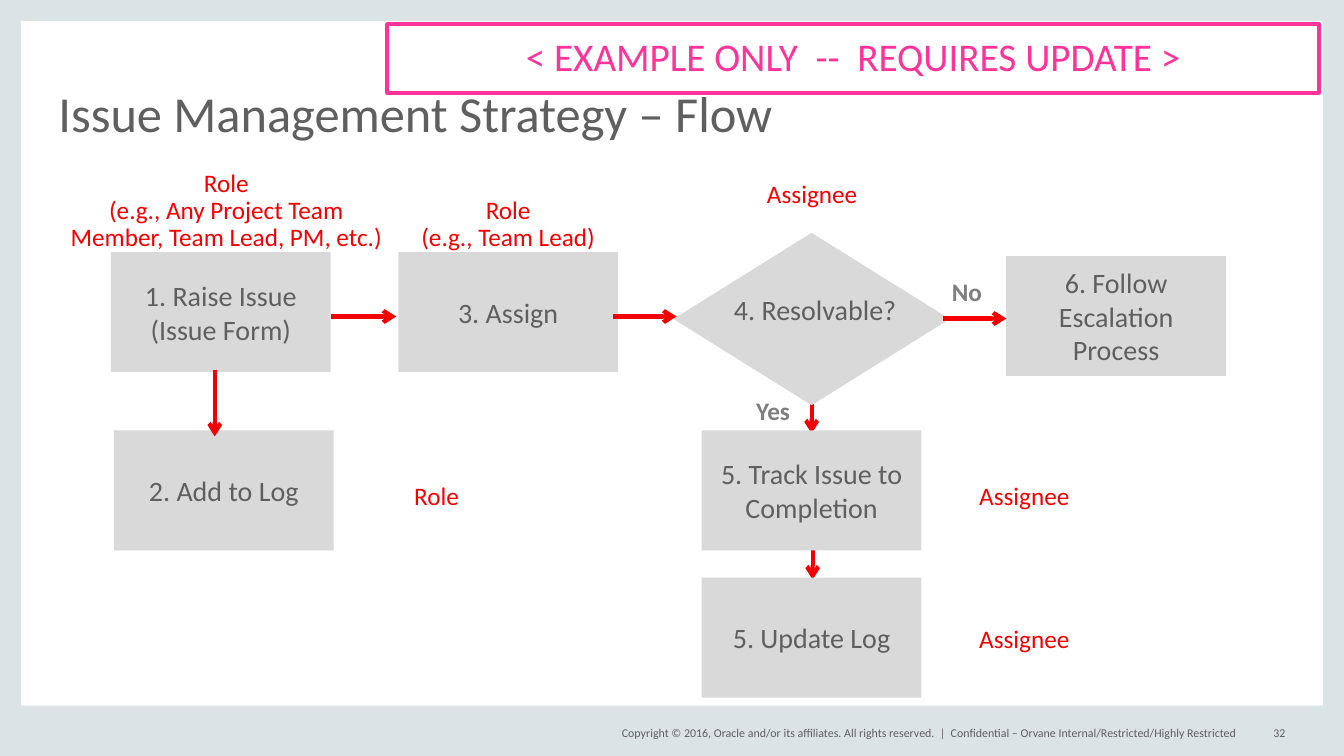
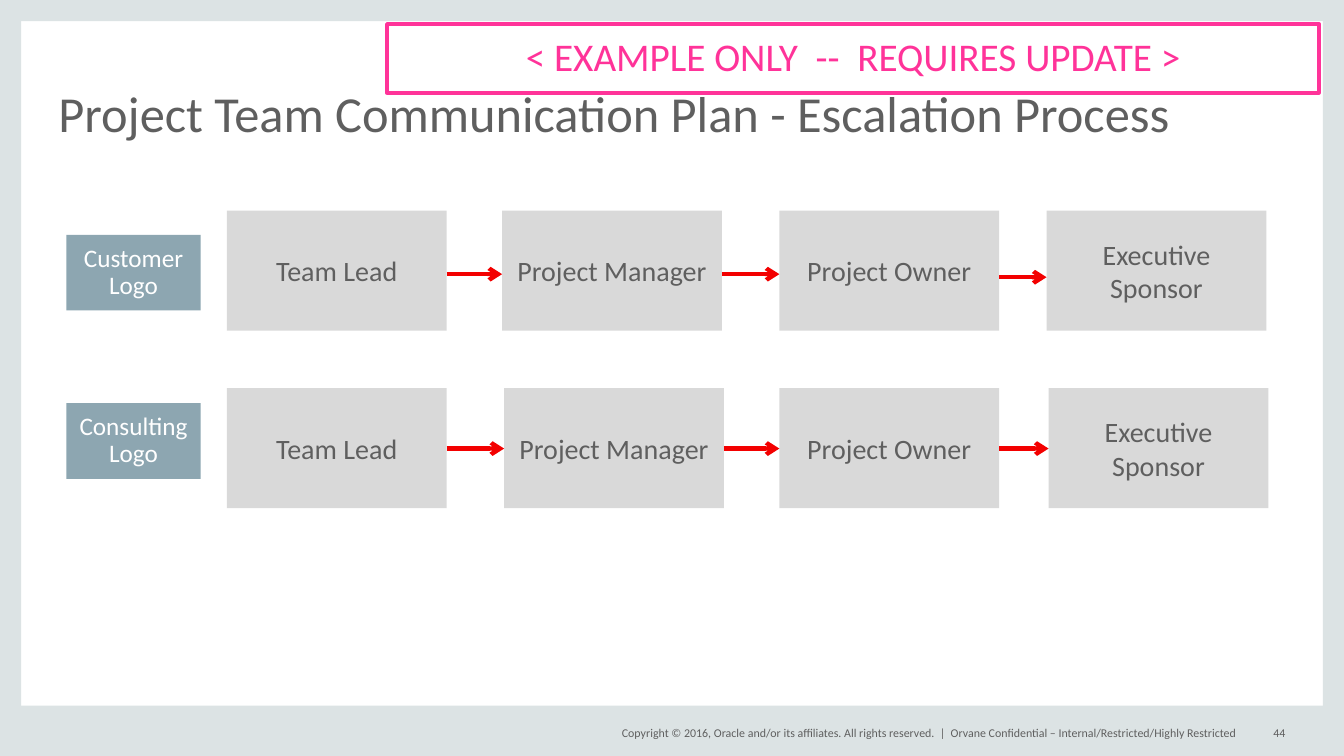
from dataclasses import dataclass
from itertools import pairwise

from lxml import etree
from pptx import Presentation
from pptx import util as u
from pptx.dml import color
from pptx.enum import shapes, text
from pptx.oxml import ns
from pptx.shapes.autoshape import Shape
from pptx.slide import Slide

FONT = "Calibri"
COLORS = {
    "band": "DCE3E4",
    "text": "5F5F5F",
    "banner": "FF3399",
    "arrow": "F30000",
    "role": "F80000",
    "node": "D9D9D9",
    "branch": "7F7F7F",
    "logo": "8DA6B1",
    "white": "FFFFFF",
}
SLIDE_W, SLIDE_H = 13.33, 7.5
EDGE, FOOTER_H = 0.21, 0.5
NODE_W, NODE_H = 2.18, 1.19
RECT = shapes.MSO_SHAPE.RECTANGLE
DIAMOND = shapes.MSO_SHAPE.DIAMOND
LEFT, CENTER, RIGHT = text.PP_ALIGN.LEFT, text.PP_ALIGN.CENTER, text.PP_ALIGN.RIGHT
TOP, MIDDLE, BOTTOM = text.MSO_ANCHOR.TOP, text.MSO_ANCHOR.MIDDLE, text.MSO_ANCHOR.BOTTOM


@dataclass(frozen=True)
class Area:
    left: float
    top: float
    width: float
    height: float

    def lengths(self) -> list[u.Length]:
        return [u.Inches(v) for v in (self.left, self.top, self.width, self.height)]


@dataclass(frozen=True)
class Style:
    size: float
    color: str = "text"
    align: text.PP_ALIGN = CENTER
    anchor: text.MSO_ANCHOR = MIDDLE
    spacing: float = 1.0
    bold: bool = False
    wrap: bool = True
    inset: bool = False


@dataclass(frozen=True)
class Label:
    words: str
    area: Area
    style: Style


@dataclass(frozen=True)
class Node:
    words: str
    left: float
    top: float


@dataclass(frozen=True)
class Arrow:
    x1: float
    y1: float
    x2: float
    y2: float


@dataclass(frozen=True)
class Team:
    logo: str
    logo_top: float
    top: float
    lefts: tuple[float, ...]
    arrow_tops: tuple[float, ...]


TITLE = Style(36, align=LEFT, anchor=BOTTOM, spacing=0.8)
BANNER = Style(28, "banner", spacing=0.9)
FOOTER = Style(8.5, align=LEFT)
FOOTER_RIGHT = Style(8.5, align=RIGHT)
NODE = Style(20, inset=True)
LOGO = Style(18, "white", spacing=0.9, inset=True)
ROLE = Style(18, "role", anchor=TOP, spacing=0.9, wrap=False)
BRANCH = Style(18, "branch", align=LEFT, anchor=TOP, bold=True)
DECISION = Style(20, anchor=TOP, spacing=0.9, wrap=False)

FLOW_NODES = [
    Node("1. Raise Issue\n(Issue Form)", 1.1, 2.5),
    Node("3. Assign", 3.95, 2.5),
    Node("6. Follow Escalation Process", 9.98, 2.54),
    Node("5. Track Issue to Completion", 6.96, 4.27),
    Node("5. Update Log", 6.96, 5.73),
    Node("2. Add to Log", 1.13, 4.27),
]
ARROWS_BEHIND = [Arrow(8.05, 3.8, 8.05, 4.3), Arrow(8.06, 5.25, 8.06, 5.75)]
ARROWS_IN_FRONT = [
    Arrow(3.28, 3.14, 3.93, 3.14),
    Arrow(6.08, 3.14, 6.71, 3.14),
    Arrow(9.35, 3.16, 9.98, 3.16),
    Arrow(2.13, 3.67, 2.13, 4.33),
]
FLOW_LABELS = [
    Label("4. Resolvable?", Area(7.25, 2.94, 1.67, 0.33), DECISION),
    Label("Yes", Area(7.5, 3.92, 0.61, 0.3), BRANCH),
    Label("No", Area(9.44, 2.74, 0.43, 0.3), BRANCH),
    Label("Role\n(e.g., Any Project Team\nMember, Team Lead, PM, etc.)",
          Area(1.16, 1.69, 2.17, 0.75), ROLE),
    Label("Role\n(e.g., Team Lead)", Area(4, 1.96, 2.08, 0.54), ROLE),
    Label("Assignee", Area(6.72, 1.8, 2.67, 0.3), ROLE),
    Label("Role", Area(3.33, 4.8, 2, 0.3), ROLE),
    Label("Assignee", Area(9.16, 4.8, 2, 0.3), ROLE),
    Label("Assignee", Area(9.16, 6.22, 2, 0.3), ROLE),
]
STAGES = ("Team Lead", "Project Manager", "Project Owner", "Executive Sponsor")
TEAMS = [
    Team("Customer Logo", 2.33, 2.09, (2.25, 4.98, 7.73, 10.38), (2.72, 2.72, 2.75)),
    Team("Consulting Logo", 4, 3.85, (2.25, 5, 7.73, 10.4), (4.45, 4.45, 4.45)),
]


def rgb(name: str) -> color.RGBColor:
    return color.RGBColor.from_string(COLORS[name])


def write(box: Shape, words: str, style: Style) -> None:
    frame = box.text_frame
    frame.auto_size = text.MSO_AUTO_SIZE.NONE
    frame.word_wrap = style.wrap
    frame.vertical_anchor = style.anchor
    if not style.inset:
        frame.margin_left = frame.margin_right = u.Inches(0)
        frame.margin_top = frame.margin_bottom = u.Inches(0)
    for index, line in enumerate(words.split("\n")):
        para = frame.add_paragraph() if index else frame.paragraphs[0]
        para.alignment = style.align
        para.line_spacing = style.spacing
        span = para.add_run()
        span.text = line
        span.font.name = FONT
        span.font.size = u.Pt(style.size)
        span.font.bold = style.bold
        span.font.color.rgb = rgb(style.color)


def add_label(page: Slide, label: Label) -> None:
    write(page.shapes.add_textbox(*label.area.lengths()), label.words, label.style)


def add_block(page: Slide, area: Area, fill: str, kind: shapes.MSO_SHAPE = RECT) -> Shape:
    box = page.shapes.add_shape(kind, *area.lengths())
    box.shadow.inherit = False
    box.fill.solid()
    box.fill.fore_color.rgb = rgb(fill)
    box.line.fill.background()
    return box


def add_node(page: Slide, node: Node) -> None:
    box = add_block(page, Area(node.left, node.top, NODE_W, NODE_H), "node")
    write(box, node.words, NODE)


def add_arrow(page: Slide, arrow: Arrow) -> None:
    ends = [u.Inches(v) for v in (arrow.x1, arrow.y1, arrow.x2, arrow.y2)]
    line = page.shapes.add_connector(shapes.MSO_CONNECTOR.STRAIGHT, *ends)
    line.line.color.rgb = rgb("arrow")
    line.line.width = u.Pt(3)
    properties = line._element.spPr
    outline = properties.find(ns.qn("a:ln"))
    etree.SubElement(outline, ns.qn("a:tailEnd"), type="arrow")
    etree.SubElement(properties, ns.qn("a:effectLst"))


def add_page(deck: Presentation, title: str, notice: str, number: str) -> Slide:
    page = deck.slides.add_slide(deck.slide_layouts[6])
    for band in (
        Area(0, 0, EDGE, SLIDE_H),
        Area(SLIDE_W - EDGE, 0, EDGE, SLIDE_H),
        Area(0, SLIDE_H - FOOTER_H, SLIDE_W, FOOTER_H),
        Area(0, 0, SLIDE_W, EDGE),
    ):
        add_block(page, band, "band")
    for label in (
        Label("Copyright © 2016, Oracle and/or its affiliates. All rights reserved.  |",
              Area(5.88, 7.17, 3.5, 0.2), FOOTER_RIGHT),
        Label(title, Area(0.58, 0.44, 12.17, 0.97), TITLE),
        Label(notice, Area(9.43, 7.17, 3, 0.2), FOOTER),
        Label(number, Area(12.33, 7.17, 0.42, 0.2), FOOTER_RIGHT),
    ):
        add_label(page, label)
    banner = page.shapes.add_shape(RECT, *Area(3.84, 0.24, 9.24, 0.68).lengths())
    banner.shadow.inherit = False
    banner.fill.background()
    banner.line.color.rgb = rgb("banner")
    banner.line.width = u.Pt(3)
    write(banner, "< EXAMPLE ONLY  --  REQUIRES UPDATE >", BANNER)
    return page


def build_flow(deck: Presentation) -> None:
    page = add_page(deck, "Issue Management Strategy – Flow",
                    "Confidential – Orvane Internal/Restricted/Highly Restricted", "32")
    for arrow in ARROWS_BEHIND:
        add_arrow(page, arrow)
    for node in FLOW_NODES:
        add_node(page, node)
    add_block(page, Area(6.68, 2.31, 2.74, 1.71), "node", DIAMOND)
    for arrow in ARROWS_IN_FRONT:
        add_arrow(page, arrow)
    for label in FLOW_LABELS:
        add_label(page, label)


def build_escalation(deck: Presentation) -> None:
    page = add_page(deck, "Project Team Communication Plan - Escalation Process",
                    "Orvane Confidential – Internal/Restricted/Highly Restricted", "44")
    for team in TEAMS:
        logo = add_block(page, Area(0.66, team.logo_top, 1.33, 0.75), "logo")
        write(logo, team.logo, LOGO)
        for stage, left in zip(STAGES, team.lefts):
            add_node(page, Node(stage, left, team.top))
        for (left, following), top in zip(pairwise(team.lefts), team.arrow_tops):
            add_arrow(page, Arrow(left + NODE_W, top, following, top))


def main() -> None:
    deck = Presentation()
    deck.slide_width, deck.slide_height = u.Inches(SLIDE_W), u.Inches(SLIDE_H)
    build_flow(deck)
    build_escalation(deck)
    deck.save("out.pptx")


if __name__ == "__main__":
    main()
